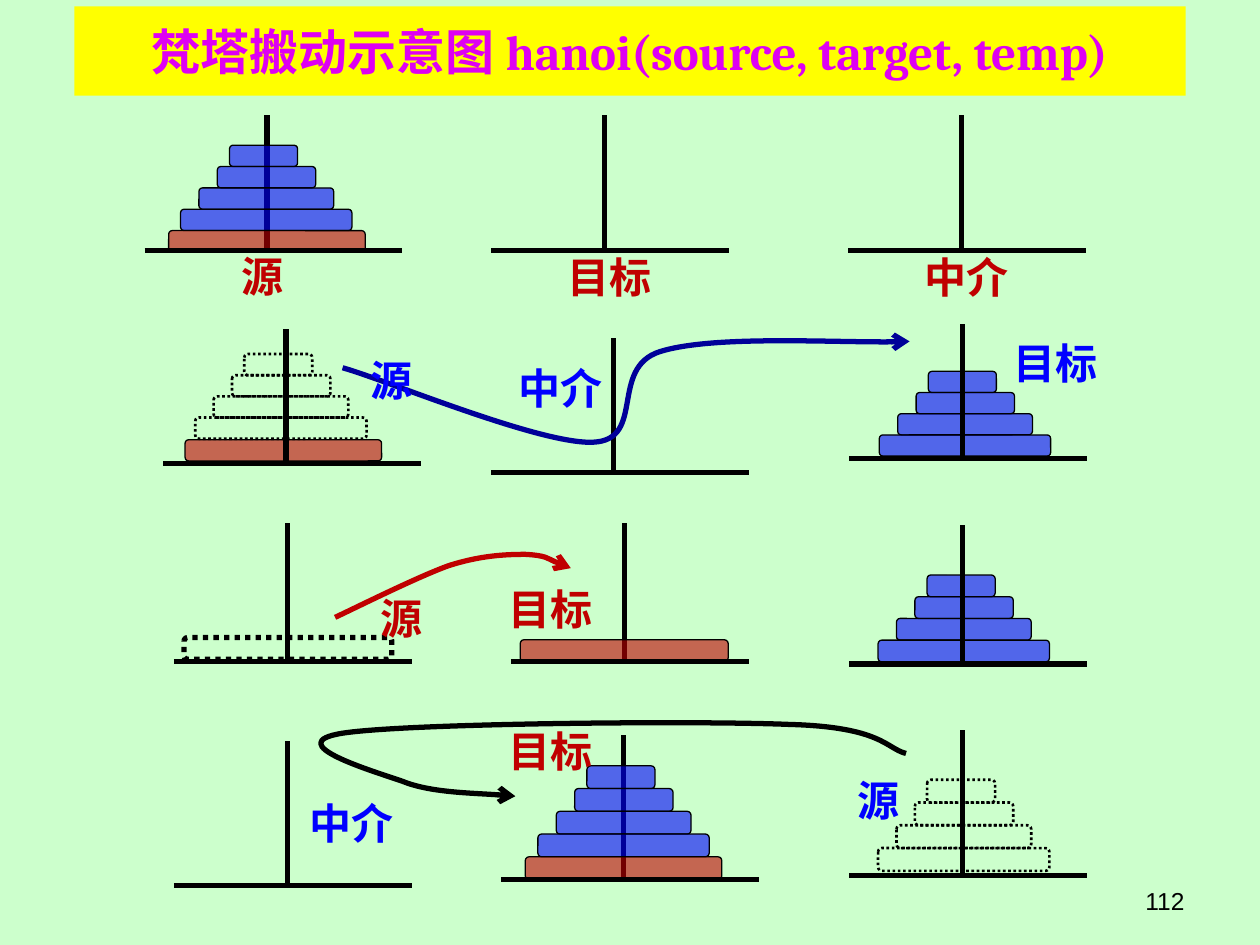
from lxml.etree import SubElement
from pptx import Presentation
from pptx.dml.color import RGBColor
from pptx.enum.dml import MSO_LINE
from pptx.enum.shapes import MSO_CONNECTOR, MSO_SHAPE
from pptx.enum.text import MSO_ANCHOR as ANCHOR, MSO_AUTO_SIZE as AUTO_SIZE, PP_ALIGN as ALIGN
from pptx.oxml.ns import qn
from pptx.util import Pt

BLACK, RED, BLUE, NAVY = "000000", "C00000", "0000FF", "000099"

# Disk size: (distance from the peg to the left edge, width)
TINY, SMALL, MEDIUM, LARGE, HUGE, WIDEST = (
    (21, 38.9), (28, 56.2), (38.5, 77), (49, 97.9), (56.2, 112.3), (59.4, 118.8))
FOUR = [TINY, SMALL, MEDIUM, LARGE]

# Disk style: (fill, line width); without a fill the outline is dotted
SOLID_BLUE, SOLID_RED, DOTTED, THICK_DOTTED = (BLUE, 0.75), (RED, 0.75), (None, 1.5), (None, 3)

# Base: (distance from the peg to the left end, length)
NARROW, WIDE = (64.8, 136), (70, 147.3)

LABEL_FORMAT = {"name": "Times New Roman", "size": Pt(24), "bold": True}

# towers: (peg x, base y, base); stacks: (centre x, bottom y, style, disks)
# labels: (text, left, top, colour)
ROWS = [
    {
        "peg_height": 77.8, "disk_height": 12.2,
        "towers": [(152.6, 143.3, WIDE), (345.6, 143.3, NARROW), (549.4, 143.3, NARROW)],
        "behind": [],
        "front": [(152.2, 131.8, SOLID_BLUE, FOUR), (152.6, 144, SOLID_RED, [HUGE])],
        "labels": [("源", 115.9, 143.3, RED), ("目标", 314.6, 144, RED),
                   ("中介", 518.4, 144, RED)],
    },
    {
        "peg_height": 77.1, "disk_height": 12.1,
        "towers": [(163.4, 265, WIDE), (350.6, 270, WIDE), (550.1, 262.1, NARROW)],
        "behind": [(551.5, 260.6, SOLID_BLUE, FOUR), (162, 263.4, SOLID_RED, [HUGE])],
        "front": [(160.6, 250.7, DOTTED, FOUR)],
        "curve": (NAVY, [
            (195.8, 210.2), (219.6, 216.7), (308.9, 254.2), (339.1, 252.7),
            (369.4, 251.3), (347.8, 210.2), (377.3, 200.9),
            (407.5, 191.5), (490.3, 196.6), (519.8, 195.1)]),
        "labels": [("源", 190.1, 202.3, BLUE), ("中介", 286.6, 207.4, BLUE),
                   ("目标", 569.5, 193, BLUE)],
    },
    {
        "peg_height": 79.2, "disk_height": 12.4,
        "towers": [(164.2, 378, NARROW), (356.7, 378, NARROW), (550.1, 379.4, NARROW)],
        "behind": [(550.8, 378.2, SOLID_BLUE, FOUR)],
        "front": [(356.7, 378, SOLID_RED, [WIDEST]), (164.5, 376.7, THICK_DOTTED, [WIDEST])],
        "curve": (RED, [
            (191.5, 352.8), (202.3, 347.8), (238.3, 329.8), (256.3, 323.3),
            (274.3, 317.5), (288.7, 316.8), (300.2, 316.8),
            (312.5, 317.5), (321.1, 323.3), (326.2, 324.7)]),
        "labels": [("源", 195.8, 338.4, RED), ("目标", 280.8, 333.4, RED)],
    },
    {
        "peg_height": 83, "disk_height": 13,
        "towers": [(164.2, 506.2, NARROW), (356.4, 502.8, WIDE), (550.1, 500.4, NARROW)],
        "behind": [],
        "front": [(356.4, 489.6, SOLID_BLUE, FOUR), (356.4, 502.6, SOLID_RED, [HUGE]),
                  (550.8, 497.6, DOTTED, FOUR)],
        "curve": (BLACK, [
            (517.7, 430.6), (506.2, 427.7), (504, 415.4), (450.7, 414),
            (396.7, 411.8), (232.6, 413.3), (195.8, 419),
            (159.1, 424.8), (213.1, 440.6), (229.7, 446.4),
            (245.5, 452.9), (280.8, 453.6), (294.5, 455)]),
        "labels": [("源", 468, 442.8, BLUE), ("中介", 167, 455.8, BLUE),
                   ("目标", 280.8, 414.7, RED)],
    },
]


def paint(color_format, color):
    color_format.rgb = RGBColor.from_string(color)


def set_fill(fill, color):
    fill.solid()
    paint(fill.fore_color, color)


def set_line(line, color, width):
    set_fill(line.fill, color)
    line.width = Pt(width)


def write(shape, text, color, alignment, font_format):
    paragraph = shape.text_frame.paragraphs[0]
    paragraph.alignment = alignment
    run = paragraph.add_run()
    run.text = text
    for name, value in font_format.items():
        setattr(run.font, name, value)
    paint(run.font.color, color)


def add_line(shapes, x1, y1, x2, y2):
    line = shapes.add_connector(MSO_CONNECTOR.STRAIGHT, Pt(x1), Pt(y1), Pt(x2), Pt(y2))
    set_line(line.line, BLACK, 3)
    SubElement(line._element.spPr, qn("a:effectLst"))


def add_disk(shapes, left, top, width, height, style):
    color, line_width = style
    disk = shapes.add_shape(
        MSO_SHAPE.ROUNDED_RECTANGLE, Pt(left), Pt(top), Pt(width), Pt(height))
    disk.shadow.inherit = False
    set_line(disk.line, BLACK, line_width)
    if color:
        set_fill(disk.fill, color)
        rgb = disk.fill._xPr.find(qn("a:solidFill"))[0]
        SubElement(rgb, qn("a:alpha"), val="60000")
    else:
        disk.fill.background()
        disk.line.dash_style = MSO_LINE.ROUND_DOT


def add_stack(shapes, height, centre, bottom, style, disks):
    top = bottom - height * len(disks)
    for index, (reach, width) in enumerate(disks):
        add_disk(shapes, centre - reach, top + index * height, width, height, style)


def add_curve_arrow(shapes, color, points):
    """Draw Bezier segments: a start, then two control points and an end for each."""
    start, *rest = [(Pt(x), Pt(y)) for x, y in points]
    builder = shapes.build_freeform(*start)
    builder.add_line_segments(rest, close=False)
    curve = builder.convert_to_shape()
    curve.shadow.inherit = False
    curve.fill.background()
    set_line(curve.line, color, 3)
    SubElement(curve.line._get_or_add_ln(), qn("a:tailEnd"), type="arrow")
    outline = curve._element.find(".//" + qn("a:path"))
    steps = outline.findall(qn("a:lnTo"))
    for first in range(0, len(steps), 3):
        bezier = SubElement(outline, qn("a:cubicBezTo"))
        for step in steps[first:first + 3]:
            bezier.append(step[0])
            outline.remove(step)


def add_label(shapes, text, left, top, color):
    label = shapes.add_textbox(Pt(left), Pt(top), Pt(67.7), Pt(28.8))
    frame_format = {"word_wrap": True, "auto_size": AUTO_SIZE.SHAPE_TO_FIT_TEXT,
                    "margin_left": 0, "margin_top": 0, "margin_right": 0, "margin_bottom": 0}
    for name, value in frame_format.items():
        setattr(label.text_frame, name, value)
    write(label, text, color, ALIGN.CENTER, LABEL_FORMAT)


def add_row(slide, row):
    shapes = slide.shapes.add_group_shape().shapes
    for stack in row["behind"]:
        add_stack(shapes, row["disk_height"], *stack)
    for x, y, _ in row["towers"]:
        add_line(shapes, x, y, x, y - row["peg_height"])
    for stack in row["front"]:
        add_stack(shapes, row["disk_height"], *stack)
    for x, y, (reach, length) in row["towers"]:
        add_line(shapes, x - reach, y, x - reach + length, y)
    if "curve" in row:
        add_curve_arrow(shapes, *row["curve"])
    for label in row["labels"]:
        add_label(shapes, *label)


def add_title(slide):
    title = slide.shapes.title
    place = {"left": Pt(42.5), "top": Pt(3.6), "width": Pt(635), "height": Pt(51.1)}
    for name, value in place.items():
        setattr(title, name, value)
    set_fill(title.fill, "FFFF00")
    title.text_frame.auto_size = AUTO_SIZE.NONE
    title.text_frame.vertical_anchor = ANCHOR.MIDDLE
    write(title, "梵塔搬动示意图 hanoi(source, target, temp)", "DE00F2", ALIGN.CENTER,
          {"name": "Cambria", "size": Pt(28), "bold": True})


def add_page_number(slide):
    number = slide.shapes.add_textbox(Pt(516.2), Pt(502.6), Pt(167.8), Pt(26.6))
    number.text_frame.word_wrap = True
    write(number, "112", BLACK, ALIGN.RIGHT, {"name": "Arial", "size": Pt(14)})


def main():
    presentation = Presentation()
    presentation.slide_width, presentation.slide_height = Pt(720), Pt(540)
    slide = presentation.slides.add_slide(presentation.slide_layouts[5])
    set_fill(slide.background.fill, "CCFFCC")
    add_title(slide)
    add_page_number(slide)
    for row in ROWS:
        add_row(slide, row)
    presentation.save("out.pptx")


if __name__ == "__main__":
    main()
